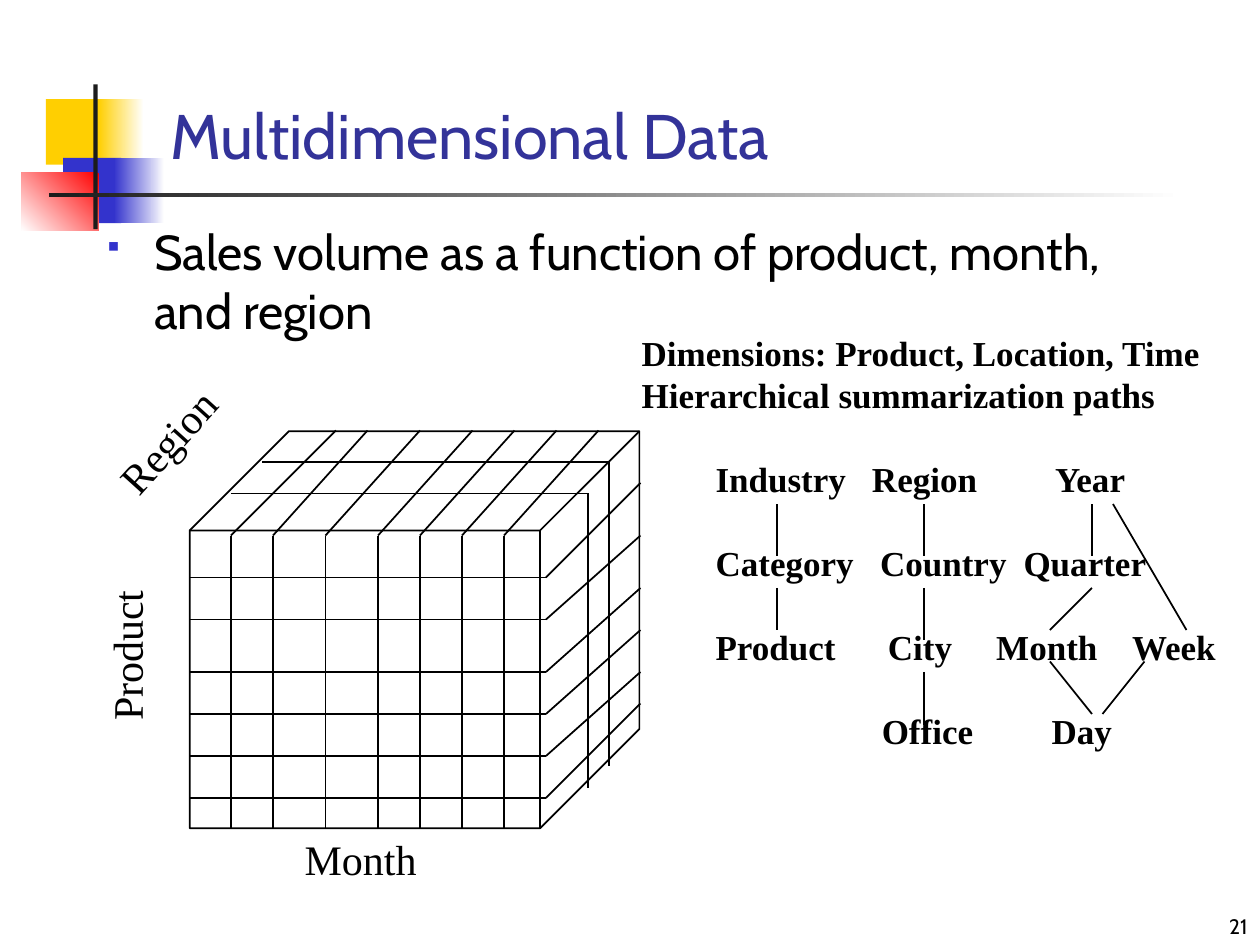
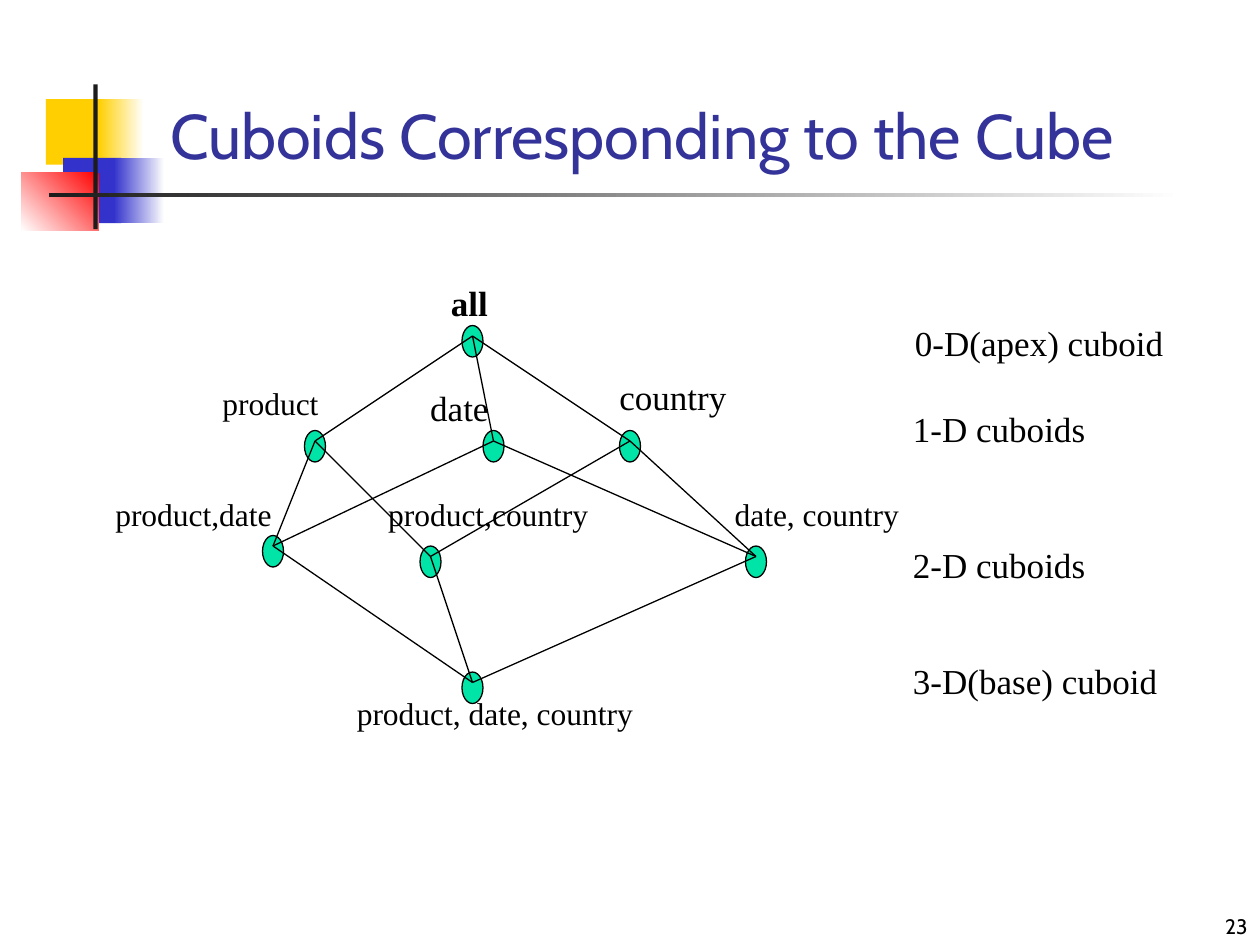
"""Build two slides on multidimensional data and the lattice of cuboids."""
import dataclasses

import lxml.etree
import pptx
import pptx.dml.color
import pptx.enum.shapes
import pptx.enum.text
import pptx.oxml.ns
import pptx.util

Pt = pptx.util.Pt
SHAPE = pptx.enum.shapes.MSO_SHAPE
ANCHOR = pptx.enum.text.MSO_ANCHOR
ALIGN = pptx.enum.text.PP_ALIGN
AUTO = pptx.enum.text.MSO_AUTO_SIZE


@dataclasses.dataclass(frozen=True)
class Theme:
    """Hold the colours, fonts and type sizes."""
    ink: str = "000000"
    title: str = "333399"
    yellow: str = "FFCF01"
    blue: str = "3333CC"
    red: str = "FF0000"
    rule: str = "1C1C1C"
    white: str = "FFFFFF"
    node: str = "00E4A8"
    sans: str = "Cabin"
    serif: str = "Times New Roman"
    title_size: int = 36
    body_size: int = 28
    axis_size: int = 24
    label_size: int = 20
    small_size: int = 18
    number_size: int = 12


T = Theme()


def rgb(code):
    """Return a colour from its hex code."""
    return pptx.dml.color.RGBColor.from_string(code)


def add_child(parent, tag, **attrs):
    """Append a drawing element with attributes."""
    el = lxml.etree.SubElement(parent, pptx.oxml.ns.qn(tag))
    for name, value in attrs.items():
        el.set(name, str(value))
    return el


def add_text(s, box, paras, size, font=T.serif, color=T.ink, bold=False,
             wrap=False, rotation=0, anchor=ANCHOR.TOP, para=None, tabs=()):
    """Add a text box with one paragraph per string and return it."""
    sp = s.shapes.add_textbox(*map(Pt, box))
    sp.rotation = rotation
    tf = sp.text_frame
    frame = {"word_wrap": wrap, "vertical_anchor": anchor,
             "auto_size": AUTO.NONE if wrap else AUTO.SHAPE_TO_FIT_TEXT}
    for name, value in frame.items():
        setattr(tf, name, value)
    fmt = {"name": font, "size": Pt(size), "bold": bold}
    for i, words in enumerate(paras):
        p = tf.paragraphs[0] if i == 0 else tf.add_paragraph()
        for name, value in (para or {}).items():
            if i or name != "space_before":
                setattr(p, name, value)
        if tabs:
            tab_list = add_child(p._p.get_or_add_pPr(), "a:tabLst")
            for pos in tabs[i]:
                add_child(tab_list, "a:tab", pos=Pt(pos), algn="l")
        r = p.add_run()
        r.text = words
        for name, value in fmt.items():
            setattr(r.font, name, value)
        r.font.color.rgb = rgb(color)
    return sp


def add_bullet(s, box, words):
    """Add a wrapped body line with a square bullet."""
    sp = add_text(s, box, [words], T.body_size, T.sans, wrap=True)
    pPr = sp.text_frame.paragraphs[0]._p.get_or_add_pPr()
    for name, value in {"marL": Pt(27), "indent": -Pt(27)}.items():
        pPr.set(name, str(value))
    add_child(add_child(pPr, "a:buClr"), "a:srgbClr", val=T.blue)
    add_child(pPr, "a:buSzPct", val=60000)
    add_child(pPr, "a:buFont", typeface="Wingdings", charset=2)
    add_child(pPr, "a:buChar", char="§")


def add_line(s, x1, y1, x2, y2, width=1):
    """Add a straight line without shadow."""
    c = s.shapes.add_connector(pptx.enum.shapes.MSO_CONNECTOR.STRAIGHT,
                               *map(Pt, (x1, y1, x2, y2)))
    c.line.width = Pt(width)
    c.line.color.rgb = rgb(T.ink)
    add_child(c._element.spPr, "a:effectLst")


def add_shape(s, kind, box, colors=(), angle=180, line=None):
    """Add a shape with no fill, one colour or a two-colour gradient."""
    sp = s.shapes.add_shape(kind, *map(Pt, box))
    sp.shadow.inherit = False
    if not colors:
        sp.fill.background()
    elif len(colors) == 1:
        sp.fill.solid()
        sp.fill.fore_color.rgb = rgb(colors[0])
    else:
        sp.fill.gradient()
        sp.fill.gradient_angle = angle
        for stop, color in zip(sp.fill.gradient_stops, colors):
            stop.color.rgb = rgb(color)
    if line:
        sp.line.width = Pt(line)
        sp.line.color.rgb = rgb(T.ink)
    else:
        sp.line.fill.background()
    return sp


def add_base_slide(prs, title, number):
    """Add a slide with the corner ornament, title and slide number."""
    s = prs.slides.add_slide(prs.slide_layouts[6])
    ornament = [
        ((26.2, 56.7, 34.5, 37.4), (T.yellow,), 180),
        ((56.2, 56.7, 26, 37.4), (T.white, T.yellow), 180),
        ((36, 90.2, 33.2, 37.4), (T.blue,), 180),
        ((65, 90.2, 29, 37.4), (T.white, T.blue), 180),
        ((12.2, 98.6, 44.2, 33.2), (T.red, T.white), 225),
        ((53.4, 48.2, 2.4, 82.8), (T.rule,), 180),
        ((28.2, 110.4, 648, 2.5), (T.white, T.rule), 180),
    ]
    for box, colors, angle in ornament:
        add_shape(s, SHAPE.RECTANGLE, box, colors, angle)
    add_text(s, (90.2, 54, 613.5, 48), [title], T.title_size, T.sans, T.title,
             wrap=True, anchor=ANCHOR.BOTTOM)
    add_text(s, (570, 504, 150, 36), [number], T.number_size, T.sans,
             wrap=True, anchor=ANCHOR.BOTTOM, para={"alignment": ALIGN.RIGHT})
    return s


def add_sales_cube(s):
    """Draw the gridded cube and name its three axes."""
    cube = add_shape(s, SHAPE.CUBE, (108.4, 246.4, 257, 226.9), line=1)
    cube.adjustments[0] = 0.25
    left, right, back = 108, 312, 366
    top, front, bottom = 246, 306, 474
    rows = {330: 276, 354: 306, 384: 336, 408: 360, 432: 384, 456: 402}
    for y, back_y in rows.items():
        add_line(s, left, y, right, y)
        add_line(s, right, y, back, back_y)
    columns = {132: 192, 156: 210, 186: 240, 216: 270, 240: 294, 264: 318,
               288: 342}
    for x, back_x in columns.items():
        add_line(s, x, front, x, bottom)
        add_line(s, x, front, back_x, top)
    for y, x1, x2, end in ((264, 150, 348, 438), (282, 132, 336, 450)):
        add_line(s, x1, y, x2, y)
        add_line(s, x2, y, x2, end)
    axes = [("Product", (27.4, 356.4, 89.3, 36), 270),
            ("Region", (54, 234, 83.5, 36), 312),
            ("Month", (167, 473, 78.5, 36), 0)]
    for name, box, rotation in axes:
        add_text(s, box, [name], T.axis_size, rotation=rotation)


def add_hierarchies(s):
    """Write the dimension hierarchies and join their levels."""
    add_text(s, (359.6, 186, 334.8, 55.4),
             ["Dimensions: Product, Location, Time",
              "Hierarchical summarization paths"],
             T.label_size, bold=True, para={"line_spacing": Pt(24)})
    levels = {"Industry\tRegion\tYear": (89.4, 194),
              "Category\tCountry\tQuarter": (94, 176),
              "Product\tCity\tMonth\tWeek": (98.5, 160.4, 238),
              "\tOffice\tDay": (95, 192)}
    add_text(s, (401.8, 258, 302.4, 175.7), levels, T.label_size, bold=True,
             para={"line_spacing": Pt(24), "space_before": Pt(24)},
             tabs=list(levels.values()))
    product, place, time, month = 444, 528, 624, 600
    links = [(product, 288, product, 318), (place, 288, place, 318),
             (time, 288, time, 318), (product, 336, product, 360),
             (place, 336, place, 366), (place, 384, place, 414),
             (time, 336, month, 360), (636, 288, 678, 360),
             (month, 378, time, 408), (654, 378, 630, 408)]
    for link in links:
        add_line(s, *link)


def add_lattice(s):
    """Draw the cuboid lattice with its nodes, edges and labels."""
    nodes = {"all": (270, 192), "product": (180, 252), "date": (282, 252),
             "country": (360, 252), "product,date": (156, 312),
             "product,country": (246, 318), "date, country": (432, 318),
             "product, date, country": (270, 390)}
    edges = {"all": ("product", "date", "country"),
             "product": ("product,date", "product,country"),
             "date": ("product,date", "date, country"),
             "country": ("product,country", "date, country"),
             "product, date, country": ("product,date", "product,country",
                                        "date, country")}
    for x, y in nodes.values():
        add_shape(s, SHAPE.FLOWCHART_CONNECTOR, (x - 6, y - 6, 12, 18),
                  (T.node,), line=0.75)
    for start, ends in edges.items():
        for end in ends:
            add_line(s, *nodes[start], *nodes[end], width=0.75)
    big, small = T.label_size, T.small_size
    labels = [("all", 250.6, 157.2, 35.5, big),
              ("product", 120, 216, 69.2, small),
              ("date", 238.8, 217.4, 47.8, big),
              ("country", 346.8, 211, 75.6, big),
              ("product,date", 58.8, 279.4, 103.9, small),
              ("product,country", 214.7, 279.4, 128.9, small),
              ("date, country", 412.7, 279.4, 108.2, small),
              ("product, date, country", 196.8, 393, 172.2, small),
              ("0-D(apex) cuboid", 515.8, 180, 156.2, big),
              ("1-D cuboids", 514.6, 229.2, 113, big),
              ("2-D cuboids", 514.6, 307.2, 113, big),
              ("3-D(base) cuboid", 514.6, 373.2, 154, big)]
    for words, x, y, width, size in labels:
        add_text(s, (x, y, width, size * 1.2 + 7.2), [words], size,
                 bold=words == "all")


def main():
    """Build and save the presentation."""
    prs = pptx.Presentation()
    prs.slide_width, prs.slide_height = Pt(720), Pt(540)
    s = add_base_slide(prs, "Multidimensional Data", "21")
    add_bullet(s, (54, 123, 630, 360),
               "Sales volume as a function of product, month, and region")
    add_sales_cube(s)
    add_hierarchies(s)
    s = add_base_slide(prs, "Cuboids Corresponding to the Cube", "23")
    add_lattice(s)
    prs.save("out.pptx")


if __name__ == "__main__":
    main()
